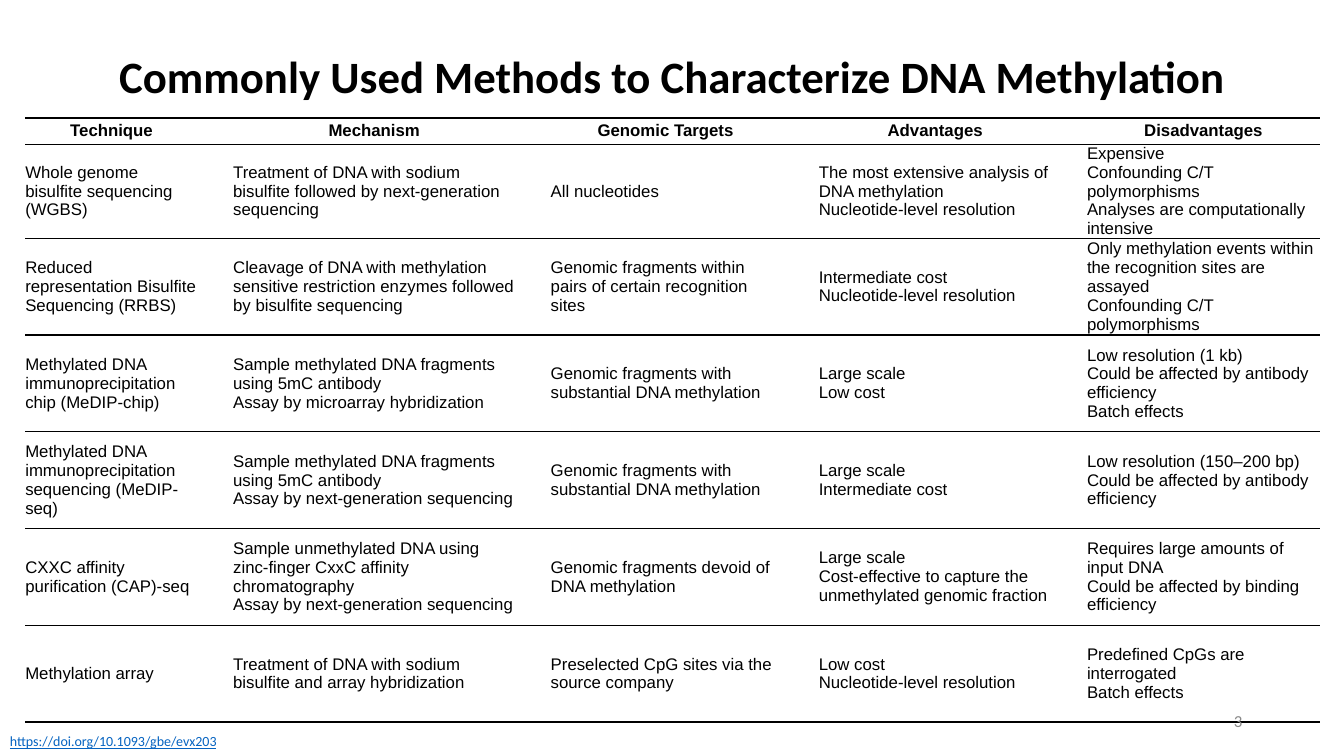
from dataclasses import dataclass

from lxml.etree import SubElement
from pptx import Presentation
from pptx.dml.color import RGBColor
from pptx.enum.text import MSO_ANCHOR as Anchor, MSO_AUTO_SIZE as AutoSize, PP_ALIGN as Align
from pptx.oxml.ns import qn
from pptx.slide import Slide
from pptx.table import _Cell as Cell
from pptx.text.text import TextFrame
from pptx.util import Inches, Pt

COLORS = {"text": "000000", "link": "0563C1", "number": "888888", "rule": "000000"}
SLIDE_WIDTH, SLIDE_HEIGHT = Inches(13.33), Inches(7.5)

# Column widths and row heights in percent of the slide; narrow columns are gaps
COLUMN_SHARES = [12.84, 2.63, 21, 2.63, 17.1, 2.85, 17.33, 2.63, 17.33]
ROW_SHARES = [3.47, 9.6] + [12.8] * 5

HEADINGS = ["Technique", "Mechanism", "Genomic Targets", "Advantages", "Disadvantages"]


@dataclass
class Box:
    """A position in percent of the slide's width and height."""
    left: float
    top: float
    width: float
    height: float

    def lengths(self) -> tuple[int, int, int, int]:
        return across(self.left), down(self.top), across(self.width), down(self.height)


@dataclass
class Style:
    size: float
    font: str = "Calibri"
    color: str = "text"
    bold: bool = False
    underline: bool = False
    align: Align = Align.LEFT


@dataclass
class Label:
    text: str
    box: Box
    style: Style
    anchor: Anchor


@dataclass
class Method:
    """One table row; \v breaks a line and \n starts a paragraph."""
    technique: str
    mechanism: str
    targets: str
    advantages: str
    disadvantages: str

    def texts(self) -> list[str]:
        return [self.technique, self.mechanism, self.targets,
                self.advantages, self.disadvantages]


METHODS = [
    Method("Whole genome bisulfite sequencing (WGBS)",
           "Treatment of DNA with sodium bisulfite followed by next-generation sequencing",
           "All nucleotides",
           "The most extensive analysis of DNA methylation\vNucleotide-level resolution",
           "Expensive\vConfounding C/T polymorphisms\nAnalyses are computationally intensive"),
    Method("Reduced representation Bisulfite Sequencing (RRBS)",
           "Cleavage of DNA with methylation sensitive restriction enzymes "
           "followed by bisulfite sequencing",
           "Genomic fragments within pairs of certain recognition sites",
           "Intermediate cost\vNucleotide-level resolution",
           "Only methylation events within the recognition sites are assayed"
           "\vConfounding C/T polymorphisms"),
    Method("Methylated DNA immunoprecipitation chip (MeDIP-chip)",
           "Sample methylated DNA fragments using 5mC antibody\vAssay by microarray hybridization",
           "Genomic fragments with substantial DNA methylation",
           "Large scale\vLow cost",
           "Low resolution (1 kb)\vCould be affected by antibody efficiency\vBatch effects"),
    Method("Methylated DNA immunoprecipitation sequencing (MeDIP-seq)",
           "Sample methylated DNA fragments using 5mC antibody\vAssay by next-generation sequencing",
           "Genomic fragments with substantial DNA methylation",
           "Large scale\vIntermediate cost",
           "Low resolution (150–200 bp)\vCould be affected by antibody efficiency"),
    Method("CXXC affinity purification (CAP)-seq",
           "Sample unmethylated DNA using zinc-finger CxxC affinity chromatography"
           "\nAssay by next-generation sequencing",
           "Genomic fragments devoid of DNA methylation",
           "Large scale\nCost-effective to capture the unmethylated genomic fraction",
           "Requires large amounts of input DNA\vCould be affected by binding efficiency"),
    Method("Methylation array",
           "Treatment of DNA with sodium bisulfite and array hybridization",
           "Preselected CpG sites via the source company",
           "Low cost\vNucleotide-level resolution",
           "Predefined CpGs are interrogated\vBatch effects"),
]

TITLE = Label("Commonly Used Methods to Characterize DNA Methylation",
              Box(6.9, 5.33, 86.25, 10.27),
              Style(32, bold=True, align=Align.CENTER), Anchor.MIDDLE)
FOOTERS = [
    Label("https://doi.org/10.1093/gbe/evx203", Box(0, 96.27, 21.9, 3.73),
          Style(10, color="link", underline=True), Anchor.TOP),
    Label("3", Box(70.67, 92.67, 22.5, 5.33),
          Style(12, color="number", align=Align.RIGHT), Anchor.MIDDLE),
]
HEADING_STYLE = Style(12, "Arial", bold=True, align=Align.CENTER)
BODY_STYLE = Style(12, "Arial")


def across(percent: float) -> int:
    return round(SLIDE_WIDTH * percent / 100)


def down(percent: float) -> int:
    return round(SLIDE_HEIGHT * percent / 100)


def write(frame: TextFrame, text: str, style: Style) -> None:
    frame.text = text
    for paragraph in frame.paragraphs:
        paragraph.alignment = style.align
        font = paragraph.font
        font.size, font.name = Pt(style.size), style.font
        font.bold, font.underline = style.bold, style.underline
        font.color.rgb = RGBColor.from_string(COLORS[style.color])


def add_rules(cell: Cell) -> None:
    """Draw lines above and below a cell and none at its sides."""
    properties = cell._tc.get_or_add_tcPr()
    for position, side in enumerate(("lnL", "lnR", "lnT", "lnB")):
        line = properties.makeelement(qn(f"a:{side}"), {"w": str(Pt(1))})
        properties.insert(position, line)
        if side in ("lnT", "lnB"):
            fill = SubElement(line, qn("a:solidFill"))
            SubElement(fill, qn("a:srgbClr"), val=COLORS["rule"])
        else:
            SubElement(line, qn("a:noFill"))


def add_title(slide: Slide, label: Label) -> None:
    title = slide.shapes.title
    title.left, title.top, title.width, title.height = label.box.lengths()
    write(title.text_frame, label.text, label.style)
    title.text_frame.vertical_anchor = label.anchor
    title.text_frame.auto_size = AutoSize.NONE
    title.text_frame.paragraphs[0].line_spacing = 0.9


def add_label(slide: Slide, label: Label) -> None:
    frame = slide.shapes.add_textbox(*label.box.lengths()).text_frame
    frame.word_wrap = True
    frame.vertical_anchor = label.anchor
    write(frame, label.text, label.style)


def add_methods_table(slide: Slide) -> None:
    box = Box(1.88, 15.6, sum(COLUMN_SHARES), sum(ROW_SHARES))
    table = slide.shapes.add_table(len(ROW_SHARES), len(COLUMN_SHARES), *box.lengths()).table
    table.first_row = table.horz_banding = False
    for column, share in zip(table.columns, COLUMN_SHARES):
        column.width = across(share)
    rows = [HEADINGS] + [method.texts() for method in METHODS]
    for row, share, texts in zip(table.rows, ROW_SHARES, rows):
        row.height = down(share)
        style = HEADING_STYLE if texts is HEADINGS else BODY_STYLE
        for index, cell in enumerate(row.cells):
            cell.margin_left = cell.margin_right = cell.margin_top = cell.margin_bottom = 0
            cell.vertical_anchor = Anchor.MIDDLE
            cell.fill.background()
            add_rules(cell)
            write(cell.text_frame, "" if index % 2 else texts[index // 2], style)


def main() -> None:
    presentation = Presentation()
    presentation.slide_width, presentation.slide_height = SLIDE_WIDTH, SLIDE_HEIGHT
    slide = presentation.slides.add_slide(presentation.slide_layouts[5])
    add_methods_table(slide)
    add_title(slide, TITLE)
    for footer in FOOTERS:
        add_label(slide, footer)
    presentation.save("out.pptx")


if __name__ == "__main__":
    main()
